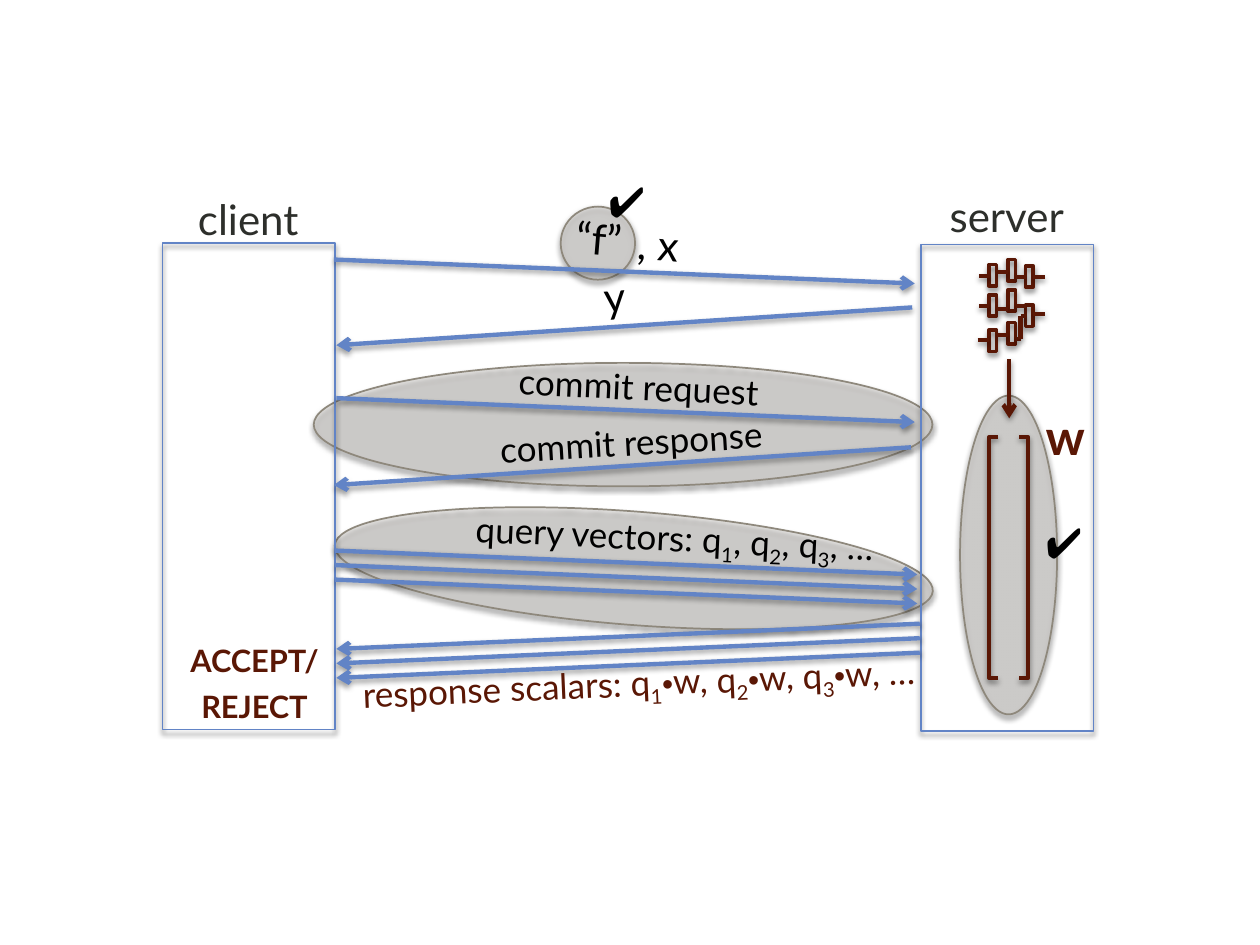
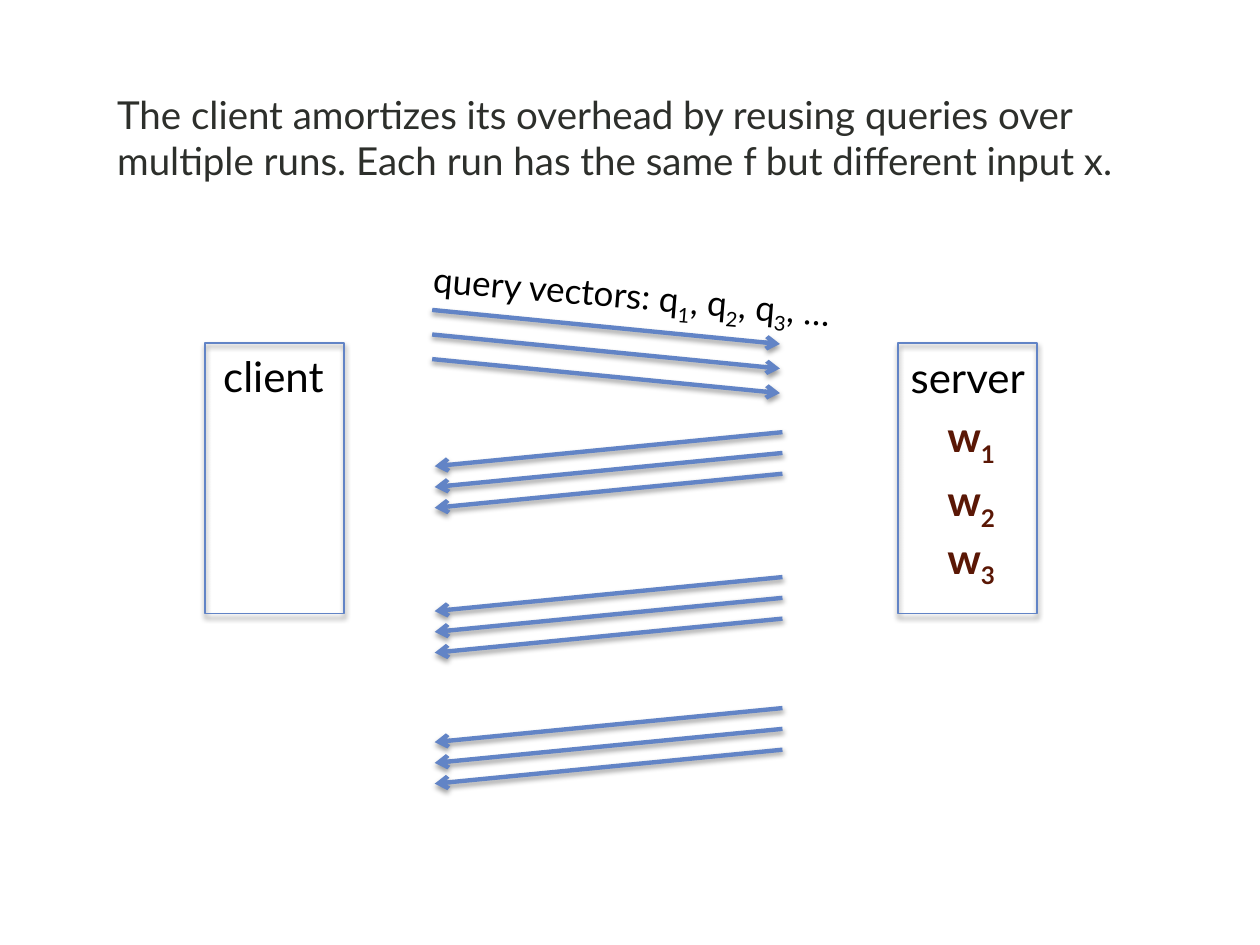
from itertools import groupby

from lxml import etree
from pptx import Presentation
from pptx.dml.color import RGBColor
from pptx.enum.shapes import MSO_CONNECTOR, MSO_SHAPE
from pptx.enum.text import MSO_ANCHOR, MSO_AUTO_SIZE, PP_ALIGN
from pptx.oxml.ns import qn
from pptx.util import Inches, Pt

RECT, OVAL = MSO_SHAPE.RECTANGLE, MSO_SHAPE.OVAL
OPEN, CLOSE = MSO_SHAPE.LEFT_BRACKET, MSO_SHAPE.RIGHT_BRACKET
LINE = MSO_CONNECTOR.STRAIGHT
LEFT, MID = PP_ALIGN.LEFT, PP_ALIGN.CENTER

# The slide is a grid of 1000 columns by 750 rows; all lengths are in cells.
COLS, ROWS = 1000, 750
CELL = Inches(10) // COLS

THEME = {
    "ink": "000000", "soft": "2D2F2B", "rust": "5A1705", "blue": "6284C6",
    "gray": "D2CFCB", "edge": "8E887C", "clear": 45,
    "font": "Lato", "sign": "Arial",
    "big": 28, "name": 24, "head": 22, "note": 20, "dot": 18,
    "thin": 1, "gate": 2, "bold": 2.5,
    # shadow: opacity in %, blur and distance in points
    "deep": (50, 3, 2), "light": (38, 3.1, 1.6),
}
FRAME = {"word_wrap": True, "auto_size": MSO_AUTO_SIZE.NONE,
         "vertical_anchor": MSO_ANCHOR.TOP}

QUERY = "query vectors: q~1~, q~2~, q~3~, …"
HEAD = ("The client amortizes its overhead by reusing queries over multiple runs. "
        "Each run has the same f but different input x.")

# Slide 1: ovals (left, top, width, height, turn) and party boxes
OVALS = [(762, 314, 77, 253, 0), (265, 406, 476, 90, 4.4),
         (249, 288, 491, 98, 0), (445, 164, 59, 58, 0)]
PARTIES = [(129, 193, 137, 386), (731, 194, 137, 386)]
# Arrow fans: x1, y1, x2, y2, count, drop from first to last
FANS = [(265, 206, 726, 225, 1, 0), (724, 244, 267, 274, 1, 0),
        (267, 316, 726, 335, 1, 0), (723, 355, 265, 385, 1, 0),
        (266, 437, 728, 456, 3, 23), (730, 495, 267, 515, 3, 23)]
# Labels: text, (left, top, width, height), then format
LABELS = [
    ("“f”", (369, 164, 213, 50), {"turn": 4.9}),
    (", x", (416, 169, 213, 50), {"turn": 4.9}),
    ("y", (381, 210, 213, 50), {"turn": -4.5}),
    ("client", (120, 149, 154, 50), {"color": "soft"}),
    ("server", (722, 146, 154, 50), {"color": "soft"}),
    ("w", (820, 318, 81, 57),
     {"size": "big", "color": "rust", "bold": True, "align": LEFT}),
    ("commit request", (332, 285, 350, 44), {"size": "note", "turn": 2.7}),
    ("commit response", (326, 329, 350, 44), {"size": "note", "turn": -3.4}),
    (QUERY, (318, 405, 435, 44), {"size": "note", "turn": 2.7}),
    ("response scalars: q~1~•w, q~2~•w, q~3~•w, …", (251, 520, 512, 44),
     {"size": "note", "color": "rust", "turn": -2.5}),
    ("accept/reject", (125, 498, 154, 77),
     {"size": "head", "color": "rust", "bold": True, "caps": True}),
    ("✔", (473, 134, 49, 50), {"align": LEFT}),
    ("✔", (820, 405, 49, 50), {"align": LEFT}),
]
# Circuit: gate corners by column, and wires (x1, y1, x2, y2)
GATES = {785: (210, 234, 262), 800: (206, 230, 256), 814: (211, 242)}
WIRES = [
    (777, 219, 786, 219), (777, 243, 785, 243), (776, 270, 785, 270),
    (791, 245, 800, 245), (806, 220, 814, 220), (792, 216, 800, 216),
    (791, 266, 800, 266), (806, 269, 810, 269), (810, 251, 814, 251),
    (810, 251, 810, 269), (806, 243, 814, 243), (820, 220, 829, 220),
    (820, 249, 829, 249),
]
PROOF = [(OPEN, 785), (CLOSE, 809)]
FLOW = (801, 285, 801, 332)

# Slide 2
RUNS = [343, 458, 562]
RUN_FANS = [(343, 246, 619, 273, 3, 39)] + [
    (621, top, 345, top + 27, 3, 33) for top in RUNS]
RUN_BOXES = [(163, 272, 110, 215), (713, 272, 110, 215)]
RUN_LABELS = [
    (QUERY, (313, 213, 377, 44), {"size": "note", "turn": 4.9}),
    ("client", (161, 273, 112, 50), {}),
    ("server", (712, 274, 112, 50), {}),
    ("w~1~\nw~2~\nw~3~", (742, 321, 84, 137),
     {"color": "rust", "bold": True, "align": LEFT, "gaps": (0, 4, 0)}),
]


def cells(*nums):
    return [round(num * CELL) for num in nums]


def rgb(name):
    return RGBColor.from_string(THEME[name])


def node(parent, tag, **attrs):
    return etree.SubElement(parent, qn("a:" + tag), attrs)


def shade(item, kind):
    """Give a shape or connector a soft shadow that falls straight down."""
    alpha, blur, dist = THEME[kind]
    props = item.element.spPr
    for old in props.findall(qn("a:effectLst")):
        props.remove(old)
    drop = node(node(props, "effectLst"), "outerShdw", blurRad=str(Pt(blur)),
                dist=str(Pt(dist)), dir="5400000", rotWithShape="0")
    tint = node(drop, "srgbClr", val=THEME["ink"])
    node(tint, "alpha", val=str(alpha * 1000))


def stroke(item, color, width):
    item.line.color.rgb = rgb(color)
    item.line.width = Pt(THEME[width])


def draw(shapes, kind, box, color="blue", width="thin", turn=0, fill=None,
         shadow="deep"):
    item = shapes.add_shape(kind, *cells(*box))
    item.rotation = turn
    if fill:
        item.fill.solid()
        item.fill.fore_color.rgb = rgb(fill)
        tint = item.element.spPr.find(qn("a:solidFill"))[0]
        node(tint, "alpha", val=str(THEME["clear"] * 1000))
    else:
        item.fill.background()
    stroke(item, color, width)
    shade(item, shadow)
    return item


def link(shapes, ends, color="blue", arrow=True):
    item = shapes.add_connector(LINE, *cells(*ends))
    stroke(item, color, "bold")
    if arrow:
        node(item.line._get_or_add_ln(), "tailEnd", type="arrow")
    shade(item, "light")


def fan(shapes, x1, y1, x2, y2, count, drop):
    step = drop / max(count - 1, 1)
    for num in range(count):
        link(shapes, (x1, y1 + num * step, x2, y2 + num * step))


def write(para, text, size, color, bold, caps):
    """Add runs: text between tildes is lowered, signs get their own font."""
    for num, part in enumerate(text.split("~")):
        for sign, chars in groupby(part, key=lambda char: char in "•✔"):
            run = para.add_run()
            run.text = "".join(chars)
            form = {"name": THEME["sign" if sign else "font"],
                    "size": Pt(THEME["dot" if run.text == "•" else size]),
                    "bold": bold}
            for key, value in form.items():
                setattr(run.font, key, value)
            run.font.color.rgb = rgb(color)
            props = run.font._element
            if num % 2:
                props.set("baseline", "-25000")
            if caps:
                props.set("cap", "small")


def fill_text(item, text, size="name", color="ink", bold=False, caps=False,
              align=MID, turn=0, gaps=(0,)):
    item.rotation = turn
    frame = item.text_frame
    for key, value in FRAME.items():
        setattr(frame, key, value)
    for num, (line, gap) in enumerate(zip(text.split("\n"), gaps)):
        para = frame.add_paragraph() if num else frame.paragraphs[0]
        para.alignment = align
        para.space_before = Pt(gap)
        write(para, line, size, color, bold, caps)


def label(shapes, text, box, form):
    fill_text(shapes.add_textbox(*cells(*box)), text, **form)


def scene(shapes, boxes, fans, labels):
    """Draw what both slides share: parties, messages and their labels."""
    for box in boxes:
        draw(shapes, RECT, box)
    for item in fans:
        fan(shapes, *item)
    for item in labels:
        label(shapes, *item)


def circuit(shapes):
    group = shapes.add_group_shape().shapes
    for left, tops in GATES.items():
        for top in tops:
            draw(group, RECT, (left, top, 6, 17), "rust", "gate")
    for ends in WIRES:
        link(group, ends, "rust", arrow=False)


def proof(shapes):
    group = shapes.add_group_shape().shapes
    for kind, left in PROOF:
        item = draw(group, kind, (left, 347, 7, 191), "rust", "bold",
                    shadow="light")
        item.adjustments[0] = 0


def protocol(deck):
    shapes = deck.slides.add_slide(deck.slide_layouts[6]).shapes
    for *box, turn in OVALS:
        draw(shapes, OVAL, box, "edge", turn=turn, fill="gray")
    scene(shapes, PARTIES, FANS, LABELS)
    proof(shapes)
    circuit(shapes)
    link(shapes, FLOW, "rust")


def reuse(deck):
    shapes = deck.slides.add_slide(deck.slide_layouts[5]).shapes
    title = shapes.title
    title.left, title.top, title.width, title.height = cells(83, 67, 860, 84)
    fill_text(title, HEAD, "head", "soft", align=LEFT)
    scene(shapes, RUN_BOXES, RUN_FANS, RUN_LABELS)


def main():
    deck = Presentation()
    deck.slide_width, deck.slide_height = cells(COLS, ROWS)
    protocol(deck)
    reuse(deck)
    deck.save("out.pptx")


if __name__ == "__main__":
    main()
